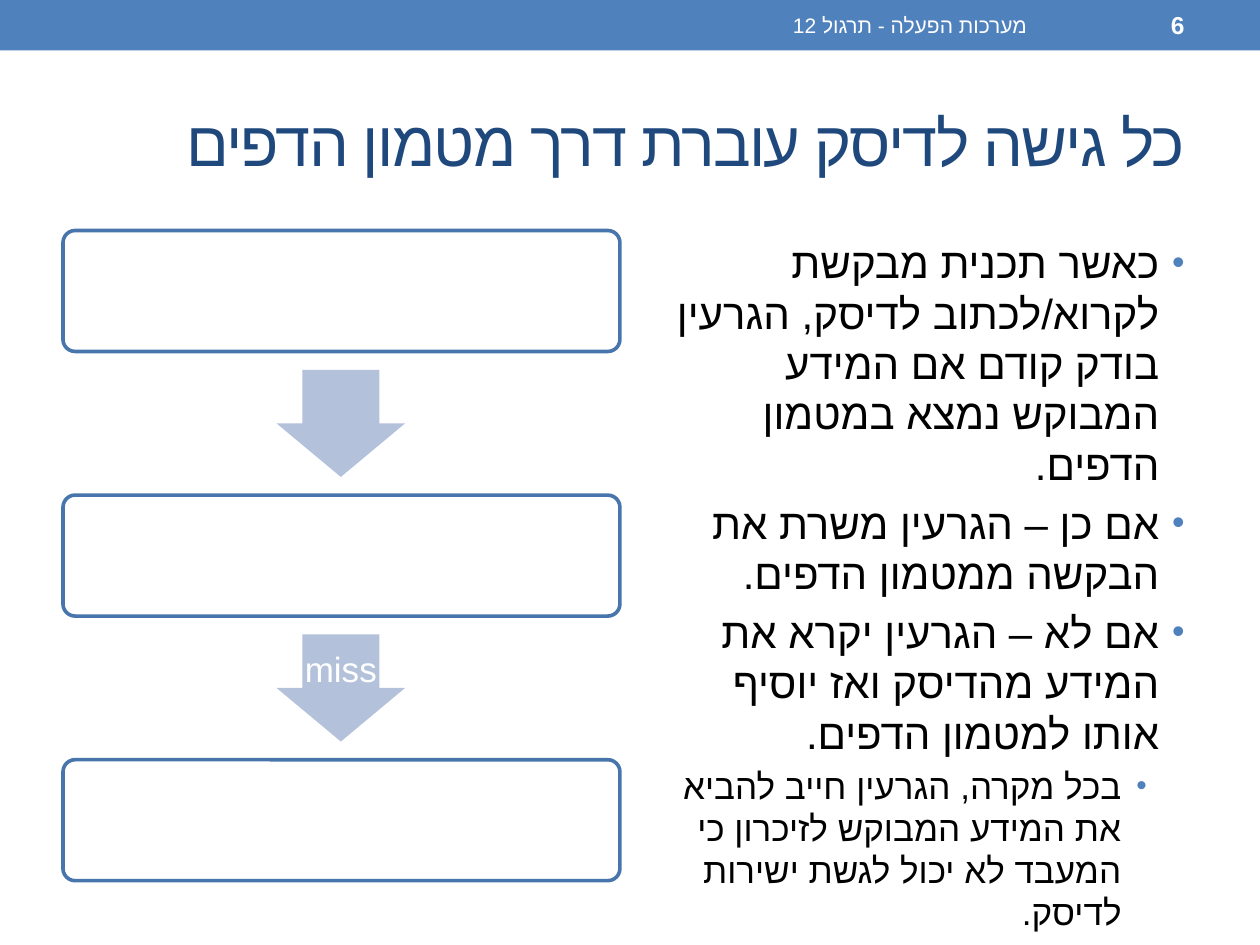
from lxml import etree
from pptx import Presentation
from pptx.dml.color import RGBColor
from pptx.enum import shapes, text
from pptx.oxml.ns import qn
from pptx.util import Inches, Pt

BLUE = RGBColor(0x4F, 0x81, 0xBD)
NAVY = RGBColor(0x1F, 0x49, 0x7D)
OUTLINE = RGBColor(0x48, 0x75, 0xAC)
PALE_BLUE = RGBColor(0xB3, 0xC1, 0xDB)
WHITE = RGBColor(0xFF, 0xFF, 0xFF)
BLACK = RGBColor(0, 0, 0)
HEBREW_FONT = "Noto Sans Mono"

prs = Presentation()
prs.slide_width, prs.slide_height = Inches(10), Inches(7.5)
slide = prs.slides.add_slide(prs.slide_layouts[6])


def add_block(preset, left, top, width, height, fill):
    block = slide.shapes.add_shape(
        preset, Inches(left), Inches(top), Inches(width), Inches(height))
    block.shadow.inherit = False
    block.fill.solid()
    block.fill.fore_color.rgb = fill
    block.line.fill.background()
    return block


def add_hebrew(left, top, width, height, lines, color, anchor, bold=False):
    """Right-to-left text box; lines holds (wording, size, level) tuples."""
    box = slide.shapes.add_textbox(
        Inches(left), Inches(top), Inches(width), Inches(height))
    frame = box.text_frame
    frame.word_wrap = True
    frame.vertical_anchor = anchor
    frame.text = "\n".join(wording for wording, size, level in lines)
    for paragraph, (wording, size, level) in zip(frame.paragraphs, lines):
        paragraph.alignment = text.PP_ALIGN.RIGHT
        paragraph.level = level
        paragraph._p.get_or_add_pPr().set("rtl", "1")
        font = paragraph.runs[0].font
        font.name, font.size, font.bold = HEBREW_FONT, Pt(size), bold
        font.color.rgb = color
        complex_script = etree.SubElement(paragraph.runs[0]._r.rPr, qn("a:cs"))
        complex_script.set("typeface", "Arial")
    return frame


# Header band with course name and page number
add_block(shapes.MSO_SHAPE.RECTANGLE, 0, 0, 10, 0.4, BLUE)
MIDDLE = text.MSO_ANCHOR.MIDDLE
add_hebrew(3.75, 0.02, 4.5, 0.36, [("מערכות הפעלה - תרגול 12", 12, 0)], WHITE, MIDDLE)
add_hebrew(8.33, 0.02, 1.17, 0.36, [("6", 14, 0)], WHITE, MIDDLE, bold=True)

# Title
title = add_hebrew(0.5, 0.58, 9, 1.08,
                   [("כל גישה לדיסק עוברת דרך מטמון הדפים", 36, 0)], NAVY, MIDDLE)
title.paragraphs[0].runs[0].font._element.set("spc", "-100")

# Flow of three steps joined by down-pointing arrows
FLOW_TOP, STEP_PITCH = 1.83, 2.1
for step in range(3):
    top = FLOW_TOP + step * STEP_PITCH
    stage = add_block(shapes.MSO_SHAPE.ROUNDED_RECTANGLE, 0.5, top, 4.42, 0.96, WHITE)
    stage.adjustments[0] = 0.1
    stage.line.color.rgb = OUTLINE
    stage.line.width = Pt(2.08)
    if step < 2:
        arrow = add_block(shapes.MSO_SHAPE.RIGHT_ARROW, 2.28, top + 1.02, 0.85, 1.02, PALE_BLUE)
        arrow.rotation = 90
        arrow.adjustments[0], arrow.adjustments[1] = 0.6, 0.5

# Label on the second arrow
miss = slide.shapes.add_textbox(
    Inches(2.4), Inches(5.03), Inches(0.61), Inches(0.6)).text_frame
miss.margin_left = miss.margin_right = miss.margin_top = miss.margin_bottom = 0
miss.word_wrap = True
miss.vertical_anchor = MIDDLE
miss.text = "miss"
miss_line = miss.paragraphs[0]
miss_line.alignment = text.PP_ALIGN.CENTER
miss_line.line_spacing = 0.9
miss_font = miss_line.runs[0].font
miss_font.name, miss_font.size = "Arial", Pt(20)
miss_font.color.rgb = WHITE

# Explanation bullets
explanation = [
    ("כאשר תכנית מבקשת לקרוא/לכתוב לדיסק, הגרעין בודק קודם אם המידע המבוקש נמצא במטמון הדפים.", 24, 0),
    ("אם כן – הגרעין משרת את הבקשה ממטמון הדפים.", 24, 0),
    ("אם לא – הגרעין יקרא את המידע מהדיסק ואז יוסיף אותו למטמון הדפים.", 24, 0),
    ("בכל מקרה, הגרעין חייב להביא את המידע המבוקש לזיכרון כי המעבד לא יכול לגשת ישירות לדיסק.", 20, 1),
]
body = add_hebrew(5.08, 1.83, 4.42, 5.16, explanation, BLACK, text.MSO_ANCHOR.TOP)
for index, (paragraph, (wording, size, level)) in enumerate(zip(body.paragraphs, explanation)):
    properties = paragraph._p.get_or_add_pPr()
    properties.set("marL", str(Inches(0.2 + 0.3 * level)))
    properties.set("indent", str(Inches(-0.2)))
    bullet_color = etree.SubElement(properties, qn("a:buClr"))
    etree.SubElement(bullet_color, qn("a:srgbClr")).set("val", str(BLUE))
    etree.SubElement(properties, qn("a:buSzPct")).set("val", "85000")
    etree.SubElement(properties, qn("a:buFont")).set("typeface", "Arial")
    etree.SubElement(properties, qn("a:buChar")).set("char", "•")
    if index:
        paragraph.space_before = Pt(0.2 * size)

prs.save("out.pptx")
